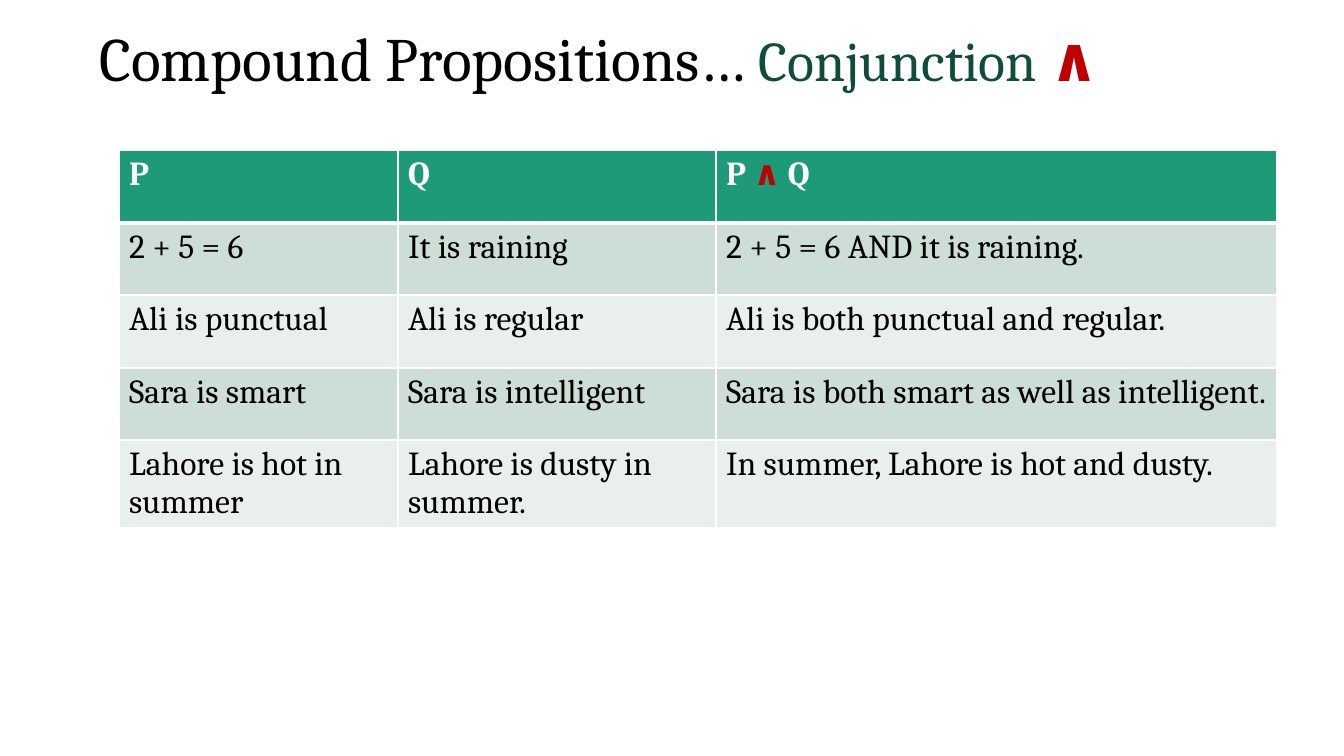
from lxml import etree
from pptx import Presentation
from pptx.dml.color import RGBColor
from pptx.enum import text
from pptx.oxml import ns
from pptx.util import Pt

PX = 914400 / 100.8
BLACK = RGBColor(0x00, 0x00, 0x00)
WHITE = RGBColor(0xFF, 0xFF, 0xFF)
RED = RGBColor(0xC0, 0x00, 0x00)
PINE = RGBColor(0x0E, 0x4D, 0x3C)
GREEN = RGBColor(0x1D, 0x9A, 0x78)
SAGE = RGBColor(0xCD, 0xDE, 0xD6)
MIST = RGBColor(0xE8, 0xEF, 0xEC)

HEADS = [
    [("P", WHITE)],
    [("Q", WHITE)],
    [("P ", WHITE), ("∧ ", RED), ("Q", WHITE)],
]
ROWS = [
    ("2 + 5 = 6", "It is raining", "2 + 5 = 6 AND it is raining."),
    ("Ali is punctual", "Ali is regular", "Ali is both punctual and regular."),
    ("Sara is smart", "Sara is intelligent",
     "Sara is both smart as well as intelligent."),
    ("Lahore is hot in summer", "Lahore is dusty in summer.",
     "In summer, Lahore is hot and dusty."),
]


def emu(px):
    return round(px * PX)


class Deck:
    font = "Cambria"

    def __init__(self, width, height):
        self.prs = Presentation()
        self.prs.slide_width = emu(width)
        self.prs.slide_height = emu(height)
        self.slide = self.prs.slides.add_slide(self.prs.slide_layouts[5])

    def span(self, para, words, size, color, bold=False):
        """Add one formatted run to the paragraph."""
        run = para.add_run()
        run.text = words
        run.font.name = self.font
        run.font.size = Pt(size)
        run.font.bold = bold
        run.font.color.rgb = color

    def title(self, box, parts):
        shape = self.slide.shapes.title
        shape.left, shape.top, shape.width, shape.height = map(emu, box)
        frame = shape.text_frame
        frame.word_wrap = True
        frame.auto_size = text.MSO_AUTO_SIZE.NONE
        frame.vertical_anchor = text.MSO_ANCHOR.MIDDLE
        para = frame.paragraphs[0]
        para.alignment = text.PP_ALIGN.LEFT
        para.line_spacing = 0.9
        for part in parts:
            self.span(para, *part)

    def edge(self, cell, side, width):
        """Draw a white border on one side of the cell."""
        props = cell._tc.get_or_add_tcPr()
        line = etree.SubElement(props, ns.qn("a:ln" + side), w=str(Pt(width)))
        fill = etree.SubElement(line, ns.qn("a:solidFill"))
        etree.SubElement(fill, ns.qn("a:srgbClr"), val=str(WHITE))

    def table(self, left, top, widths, heights, heads, rows):
        grid = self.slide.shapes.add_table(
            len(heights), len(widths), emu(left), emu(top),
            emu(sum(widths)), emu(sum(heights))).table
        for col, width in zip(grid.columns, widths):
            col.width = emu(width)
        for row, height in zip(grid.rows, heights):
            row.height = emu(height)
        body = [[[(words, BLACK)] for words in row] for row in rows]
        for r, row in enumerate([heads] + body):
            for c, parts in enumerate(row):
                cell = grid.cell(r, c)
                for side in "LRTB":
                    thick = (r, side) in ((0, "B"), (1, "T"))
                    self.edge(cell, side, 3 if thick else 1)
                cell.fill.solid()
                band = SAGE if r % 2 else MIST
                cell.fill.fore_color.rgb = band if r else GREEN
                para = cell.text_frame.paragraphs[0]
                for words, color in parts:
                    self.span(para, words, 24, color, r == 0)


def main():
    deck = Deck(1344, 756)
    deck.title((89, 19, 1058, 85), [
        ("Compound Propositions… ", 44, BLACK),
        ("Conjunction ", 40, PINE),
        ("∧", 44, RED, True),
    ])
    deck.table(119, 150, (279, 318, 561), (73, 72, 73, 72, 73), HEADS, ROWS)
    deck.prs.save("out.pptx")


if __name__ == "__main__":
    main()
